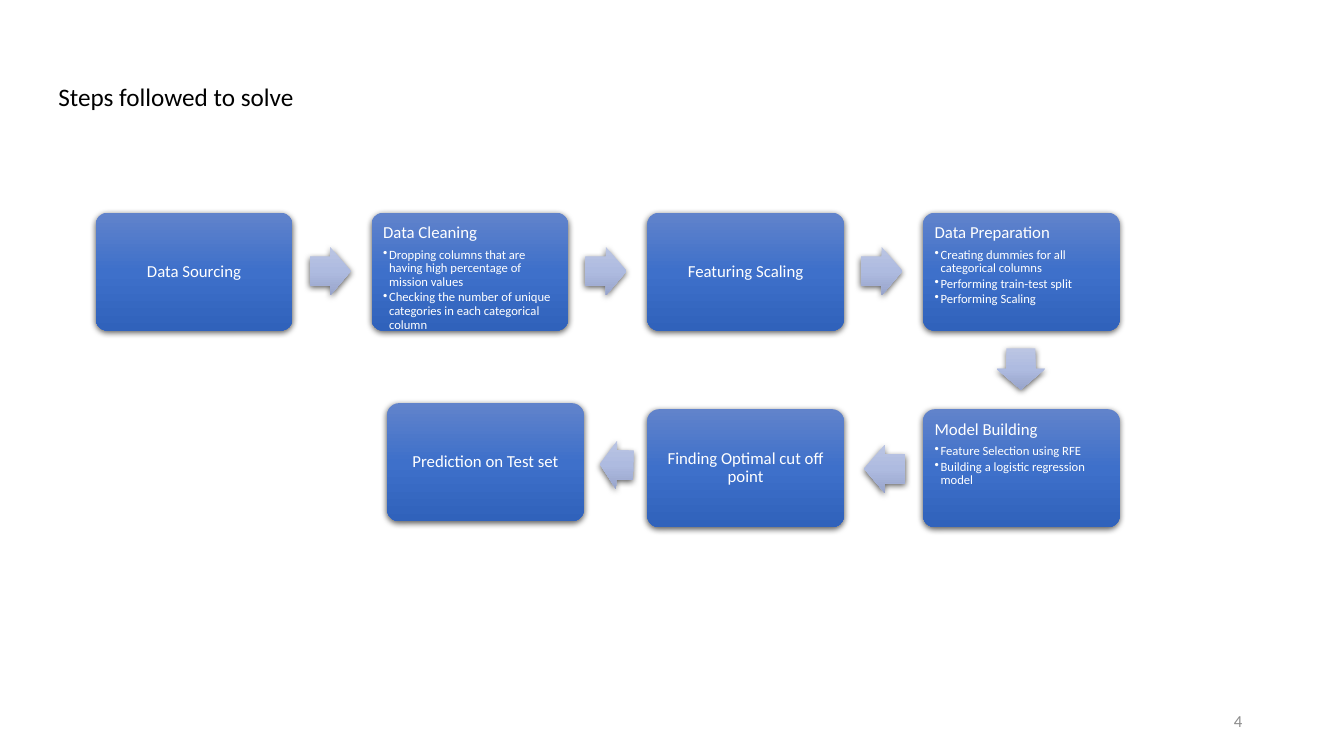
"""Build a slide that shows the modelling steps as a flow of boxes and arrows."""
from dataclasses import dataclass

from lxml import etree
from pptx import Presentation, util as u
from pptx.dml.color import RGBColor
from pptx.enum import shapes, text
from pptx.oxml.ns import qn


@dataclass(frozen=True)
class Theme:
    font: str = "Calibri"
    ink: str = "000000"
    pale: str = "FFFFFF"
    grey: str = "8C8C8C"
    box: tuple = ("6183CB", "3E70CA", "3062BB")
    arrow: tuple = ("BBC5E3", "AEBBE0", "98A4CB")
    title: int = 18
    head: int = 12
    small: int = 9


class Deck:
    def __init__(self, theme):
        self.theme = theme
        self.file = Presentation()
        self.file.slide_width, self.file.slide_height = u.Inches(13.33), u.Inches(7.5)
        self.slide = self.file.slides.add_slide(self.file.slide_layouts[6])

    def style(self, para, words, size, color, align=text.PP_ALIGN.LEFT):
        para.text = words
        para.alignment = align
        para.font.name = self.theme.font
        para.font.size = u.Pt(size)
        para.font.color.rgb = RGBColor.from_string(color)

    def label(self, area, words, size, color, align=text.PP_ALIGN.LEFT):
        frame = self.slide.shapes.add_textbox(*map(u.Inches, area)).text_frame
        frame.word_wrap = True
        frame.vertical_anchor = text.MSO_ANCHOR.MIDDLE
        self.style(frame.paragraphs[0], words, size, color, align)

    def shape(self, kind, area, tones, sizes):
        item = self.slide.shapes.add_shape(kind, *map(u.Inches, area))
        for spot, size in enumerate(sizes):
            item.adjustments[spot] = size
        item.line.fill.background()
        item.fill.gradient()
        item.fill.gradient_angle = 270
        props = item._element.spPr
        grad = props.find(qn("a:gradFill"))
        grad.set("rotWithShape", "0")
        stops = grad.find(qn("a:gsLst"))
        stops.clear()
        for step, tone in enumerate(tones):
            stop = etree.SubElement(stops, qn("a:gs"), pos=str(step * 50000))
            etree.SubElement(stop, qn("a:srgbClr"), val=tone)
        item.shadow.inherit = False
        shade = etree.SubElement(
            props.find(qn("a:effectLst")), qn("a:outerShdw"), blurRad=str(u.Pt(4.5)),
            dist=str(u.Pt(1.5)), dir="5400000", algn="ctr", rotWithShape="0")
        black = etree.SubElement(shade, qn("a:srgbClr"), val=self.theme.ink)
        etree.SubElement(black, qn("a:alpha"), val="63000")
        return item

    def arrow(self, left, top, wide=0.41, turn=0):
        item = self.shape(shapes.MSO_SHAPE.RIGHT_ARROW, (left, top, wide, 0.48),
                          self.theme.arrow, (0.6, 0.5))
        item.rotation = turn

    def box(self, left, top, head, points=()):
        look = self.theme
        item = self.shape(shapes.MSO_SHAPE.ROUNDED_RECTANGLE, (left, top, 1.95, 1.17),
                          look.box, (0.1,))
        frame = item.text_frame
        frame.word_wrap = True
        frame.margin_left = frame.margin_right = u.Inches(0.08)
        frame.margin_top = frame.margin_bottom = u.Inches(0.08)
        frame.vertical_anchor = text.MSO_ANCHOR.TOP if points else text.MSO_ANCHOR.MIDDLE
        para = frame.paragraphs[0]
        align = text.PP_ALIGN.LEFT if points else text.PP_ALIGN.CENTER
        self.style(para, head, look.head, look.pale, align)
        para.line_spacing, para.space_after = 0.9, u.Pt(4.2)
        for point in points:
            self.bullet(frame.add_paragraph(), point)

    def bullet(self, para, words):
        self.style(para, words, self.theme.small, self.theme.pale)
        para.level = 1
        para.line_spacing, para.space_after = 0.9, u.Pt(1.35)
        props = para._p.get_or_add_pPr()
        props.set("marL", str(u.Inches(0.06)))
        props.set("indent", str(u.Inches(-0.06)))
        mark = etree.Element(qn("a:buChar"), char="•")
        props.find(qn("a:spcAft")).addnext(mark)


def main():
    theme = Theme()
    deck = Deck(theme)
    deck.label((9.42, 6.95, 3, 0.4), "4", theme.head, theme.grey, text.PP_ALIGN.RIGHT)
    deck.label((0.48, 0.76, 3.98, 0.4), "Steps followed to solve", theme.title, theme.ink)

    cols = [0.95 + 2.735 * col for col in range(4)]
    steps = [
        ("Data Sourcing", ()),
        ("Data Cleaning", (
            "Dropping columns that are having high percentage of mission values",
            "Checking the number of unique categories in each categorical column")),
        ("Featuring Scaling", ()),
        ("Data Preparation", (
            "Creating dummies for all categorical columns",
            "Performing train-test split",
            "Performing Scaling")),
    ]
    for left, (head, points) in zip(cols, steps):
        deck.box(left, 2.11, head, points)
    for left in cols[:-1]:
        deck.arrow(left + 2.12, 2.45)

    deck.arrow(9.92, 3.42, turn=90)
    deck.box(cols[3], 4.06, "Model Building", (
        "Feature Selection using RFE", "Building a logistic regression model"))
    deck.arrow(8.57, 4.41, turn=180)
    deck.box(cols[2], 4.06, "Finding Optimal cut off point")
    deck.arrow(5.95, 4.37, wide=0.33, turn=181.5)
    deck.box(3.84, 4, "Prediction on Test set")
    deck.file.save("out.pptx")


if __name__ == "__main__":
    main()
